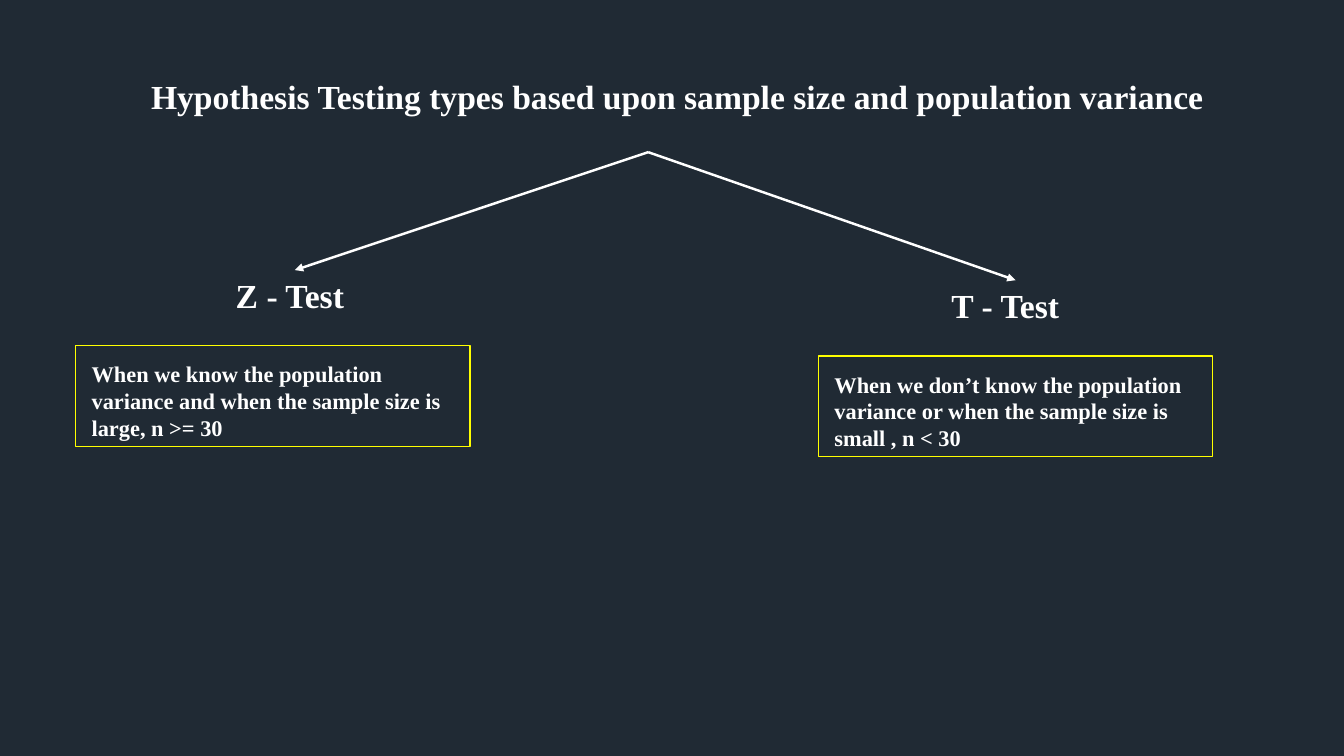
from dataclasses import dataclass

from pptx import Presentation
from pptx.dml.color import RGBColor
from pptx.enum.shapes import MSO_CONNECTOR as Connector, MSO_SHAPE as Preset
from pptx.enum.text import MSO_AUTO_SIZE as AutoSize
from pptx.oxml.ns import qn
from pptx.shapes.autoshape import Shape
from pptx.slide import Slide
from pptx.util import Inches, Length, Pt
from lxml.etree import SubElement

COLORS = {"background": "202A34", "text": "FFFFFF", "arrow": "FFFFFF", "frame": "FFFF00"}
FONT = "Times New Roman"
WIDTH, HEIGHT = Inches(13.33), Inches(7.5)

# All positions are percentages of the slide's width or height
APEX = (48.23, 20.13)
HEADING_HEIGHT = 6.67
FRAME_SIZE = (29.33, 13.33)
FRAME_DROP = 10
NOTE_INDENT, NOTE_DROP, NOTE_HEIGHT = 0.45, 11.3, 12.13


@dataclass
class Branch:
    label: str
    note: str
    label_left: float
    label_width: float
    frame_left: float
    top: float


BRANCHES = [
    Branch("Z - Test",
           "When we know the population variance and when the sample size is large, n >= 30",
           16.8, 10.28, 5.63, 35.73),
    Branch("T - Test",
           "When we don’t know the population variance or when the sample size is small , n < 30",
           70.05, 11.03, 60.9, 37.07),
]


def across(percent: float) -> Length:
    return Length(round(WIDTH * percent / 100))


def down(percent: float) -> Length:
    return Length(round(HEIGHT * percent / 100))


def color(name: str) -> RGBColor:
    return RGBColor.from_string(COLORS[name])


def add_text(slide: Slide, text: str, left: float, top: float,
             width: float, height: float, size: int = 24) -> Shape:
    box = slide.shapes.add_textbox(across(left), down(top), across(width), down(height))
    frame = box.text_frame
    frame.word_wrap = True
    frame.auto_size = AutoSize.SHAPE_TO_FIT_TEXT
    frame.text = text
    font = frame.paragraphs[0].runs[0].font
    font.name, font.size, font.bold = FONT, Pt(size), True
    font.color.rgb = color("text")
    return box


def add_frame(slide: Slide, left: float, top: float) -> None:
    width, height = FRAME_SIZE
    shape = slide.shapes.add_shape(
        Preset.RECTANGLE, across(left), down(top), across(width), down(height))
    shape.shadow.inherit = False
    shape.fill.background()
    shape.line.color.rgb = color("frame")
    shape.line.width = Pt(1)


def add_arrow(slide: Slide, target: Shape) -> None:
    x, y = across(APEX[0]), down(APEX[1])
    arrow = slide.shapes.add_connector(Connector.STRAIGHT, x, y, x, y)
    arrow.end_connect(target, 0)
    arrow.line.color.rgb = color("arrow")
    arrow.line.width = Pt(1.75)
    properties = arrow._element.spPr
    SubElement(properties.find(qn("a:ln")), qn("a:tailEnd"), type="triangle")
    SubElement(properties, qn("a:effectLst"))


def add_branch(slide: Slide, branch: Branch) -> None:
    label = add_text(slide, branch.label, branch.label_left, branch.top,
                     branch.label_width, HEADING_HEIGHT)
    add_arrow(slide, label)
    add_frame(slide, branch.frame_left, branch.top + FRAME_DROP)
    add_text(slide, branch.note, branch.frame_left + NOTE_INDENT,
             branch.top + NOTE_DROP, FRAME_SIZE[0], NOTE_HEIGHT, size=16)


def main() -> None:
    presentation = Presentation()
    presentation.slide_width, presentation.slide_height = WIDTH, HEIGHT
    slide = presentation.slides.add_slide(presentation.slide_layouts[6])
    slide.background.fill.solid()
    slide.background.fill.fore_color.rgb = color("background")

    # Title
    add_text(slide, "Hypothesis Testing types based upon sample size and population variance",
             10.5, 9.33, 82.43, HEADING_HEIGHT)

    # The two kinds of test
    for branch in BRANCHES:
        add_branch(slide, branch)

    presentation.save("out.pptx")


if __name__ == "__main__":
    main()
